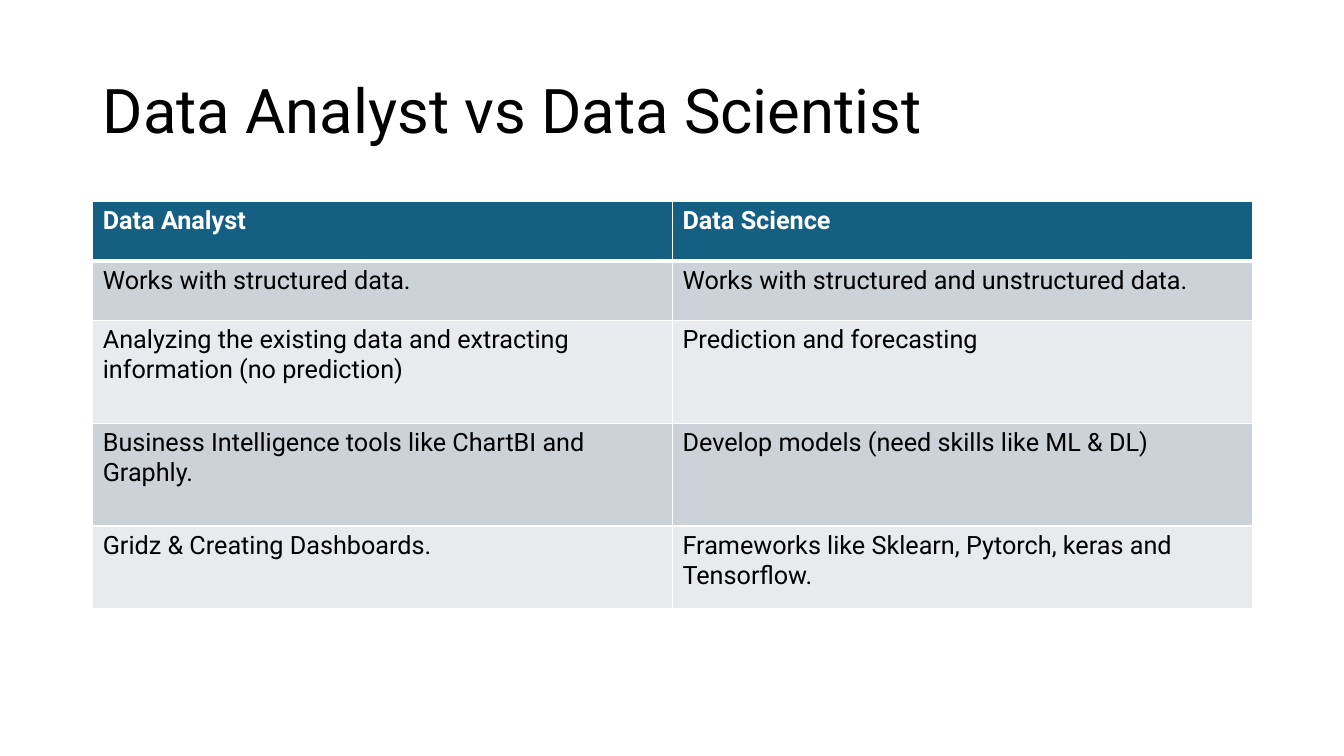
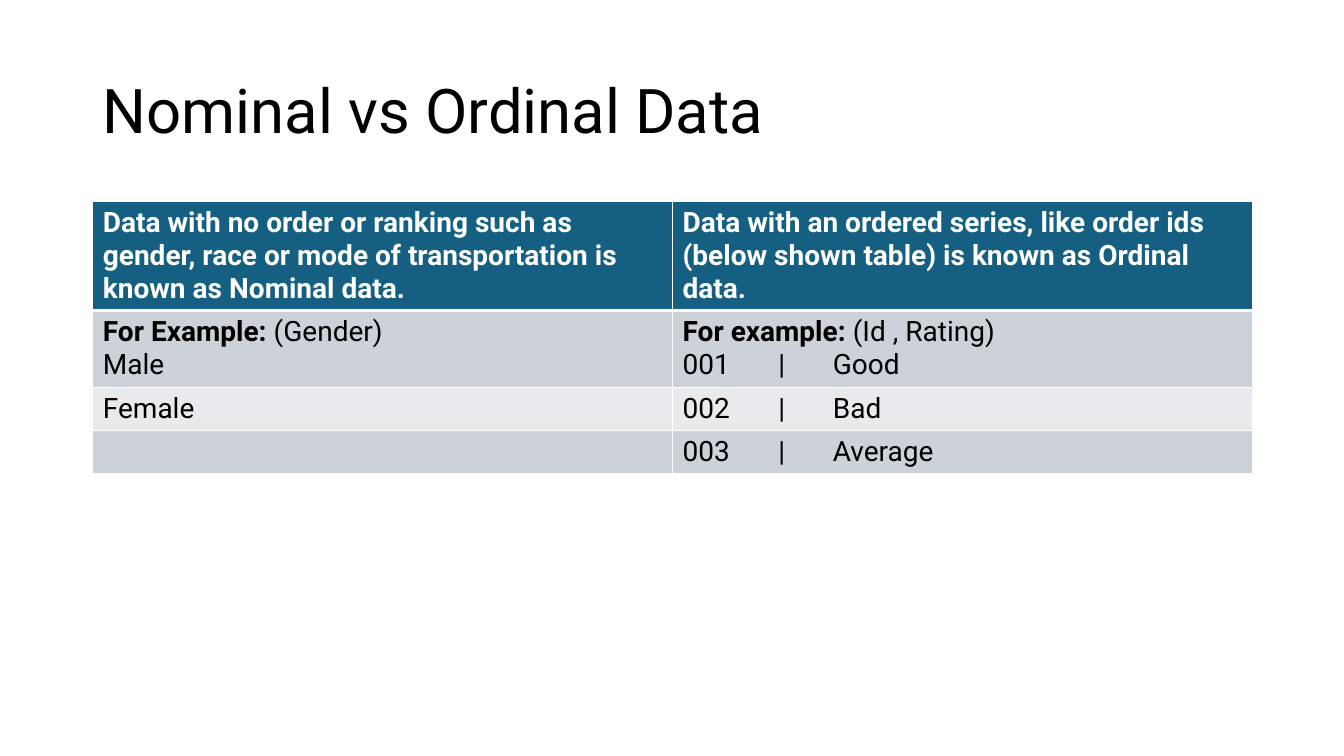
import pptx
import pptx.util
import pptx.dml.color
import pptx.enum.text
import pptx.oxml
import pptx.oxml.ns

Inches = pptx.util.Inches
Pt = pptx.util.Pt

FONT = "Roboto"
COLORS = {
    "header": "156082",
    "odd_row": "CCD2D8",
    "even_row": "E8EAED",
    "text": "000000",
    "white": "FFFFFF",
}
TITLE_BOX = (0.92, 0.4, 11.5, 1.45)
TABLE_BOX = (0.92, 2, 11.5)
TAB_STOPS = (0.95, 1.49)

ANALYST_ROWS = [
    ("Data Analyst", "Data Science"),
    ("Works with structured data.", "Works with structured and unstructured data."),
    ("Analyzing the existing data and extracting information (no prediction)",
     "Prediction and forecasting"),
    ("Business Intelligence tools like ChartBI and Graphly.",
     "Develop models (need skills like ML & DL)"),
    ("Gridz & Creating Dashboards.",
     "Frameworks like Sklearn, Pytorch, keras and Tensorflow."),
]
ORDINAL_ROWS = [
    ("Data with no order or ranking such as gender, race or mode of "
     "transportation is known as Nominal data.",
     "Data with an ordered series, like order ids (below shown table) "
     "is known as Ordinal data."),
    ([("For Example:", " (Gender)"), "Male"],
     [("For example:", " (Id , Rating)"), "001\t|\tGood"]),
    ("Female", "002\t|\tBad"),
    ("", "003\t|\tAverage"),
]


def rgb(name):
    return pptx.dml.color.RGBColor.from_string(COLORS[name])


def style_font(font, size, color, bold=False):
    font.name = FONT
    font.size = Pt(size)
    font.bold = bold
    font.color.rgb = rgb(color)


def add_title(slide, text, box):
    title = slide.shapes.title
    title.left, title.top, title.width, title.height = map(Inches, box)
    frame = title.text_frame
    frame.text = text
    frame.vertical_anchor = pptx.enum.text.MSO_ANCHOR.MIDDLE
    frame.auto_size = pptx.enum.text.MSO_AUTO_SIZE.NONE
    heading = frame.paragraphs[0]
    heading.alignment = pptx.enum.text.PP_ALIGN.LEFT
    heading.line_spacing = 0.9
    style_font(heading.font, 44, "text")


def set_tabs(paragraph):
    stops = "".join(f'<a:tab pos="{Inches(stop)}" algn="l"/>' for stop in TAB_STOPS)
    namespace = pptx.oxml.ns.nsdecls("a")
    paragraph._p.get_or_add_pPr().append(
        pptx.oxml.parse_xml(f"<a:tabLst {namespace}>{stops}</a:tabLst>"))


def set_borders(cell, top, bottom):
    namespace = pptx.oxml.ns.nsdecls("a")
    widths = {"lnL": 1, "lnR": 1, "lnT": top, "lnB": bottom}
    for position, (side, width) in enumerate(widths.items()):
        cell._tc.get_or_add_tcPr().insert(position, pptx.oxml.parse_xml(
            f'<a:{side} {namespace} w="{Pt(width)}"><a:solidFill>'
            f'<a:srgbClr val="{COLORS["white"]}"/></a:solidFill></a:{side}>'))


def write_cell(cell, content, size, is_header):
    lines = content if isinstance(content, list) else [content]
    frame = cell.text_frame
    for number, line in enumerate(lines):
        paragraph = frame.add_paragraph() if number else frame.paragraphs[0]
        if "\t" in line:
            set_tabs(paragraph)
        style_font(paragraph.font, size, "white" if is_header else "text", is_header)
        if isinstance(line, tuple):
            label, detail = line
            label_run = paragraph.add_run()
            label_run.text = label
            label_run.font.bold = True
            paragraph.add_run().text = detail
        elif line:
            paragraph.add_run().text = line


def add_comparison(slide, rows, heights, size, box):
    left, top, width = box
    columns = len(rows[0])
    table = slide.shapes.add_table(
        len(rows), columns, Inches(left), Inches(top),
        Inches(width), Inches(sum(heights))).table
    for column in table.columns:
        column.width = Inches(width / columns)
    for r, (contents, height) in enumerate(zip(rows, heights)):
        table.rows[r].height = Inches(height)
        fill = "header" if r == 0 else "odd_row" if r % 2 else "even_row"
        for c, content in enumerate(contents):
            cell = table.cell(r, c)
            cell.fill.solid()
            cell.fill.fore_color.rgb = rgb(fill)
            set_borders(cell, 3 if r == 1 else 1, 3 if r == 0 else 1)
            write_cell(cell, content, size, r == 0)


def add_comparison_slide(deck, title, rows, heights, size):
    slide = deck.slides.add_slide(deck.slide_layouts[5])
    add_title(slide, title, TITLE_BOX)
    add_comparison(slide, rows, heights, size, TABLE_BOX)


def main():
    deck = pptx.Presentation()
    deck.slide_width = Inches(13.33)
    deck.slide_height = Inches(7.5)
    add_comparison_slide(deck, "Data Analyst vs Data Scientist", ANALYST_ROWS,
                         (0.59, 0.59, 1.02, 1.02, 0.82), 18)
    add_comparison_slide(deck, "Nominal vs Ordinal Data", ORDINAL_ROWS,
                         (1.07, 0.76, 0.43, 0.43), 20)
    deck.save("out.pptx")


if __name__ == "__main__":
    main()
